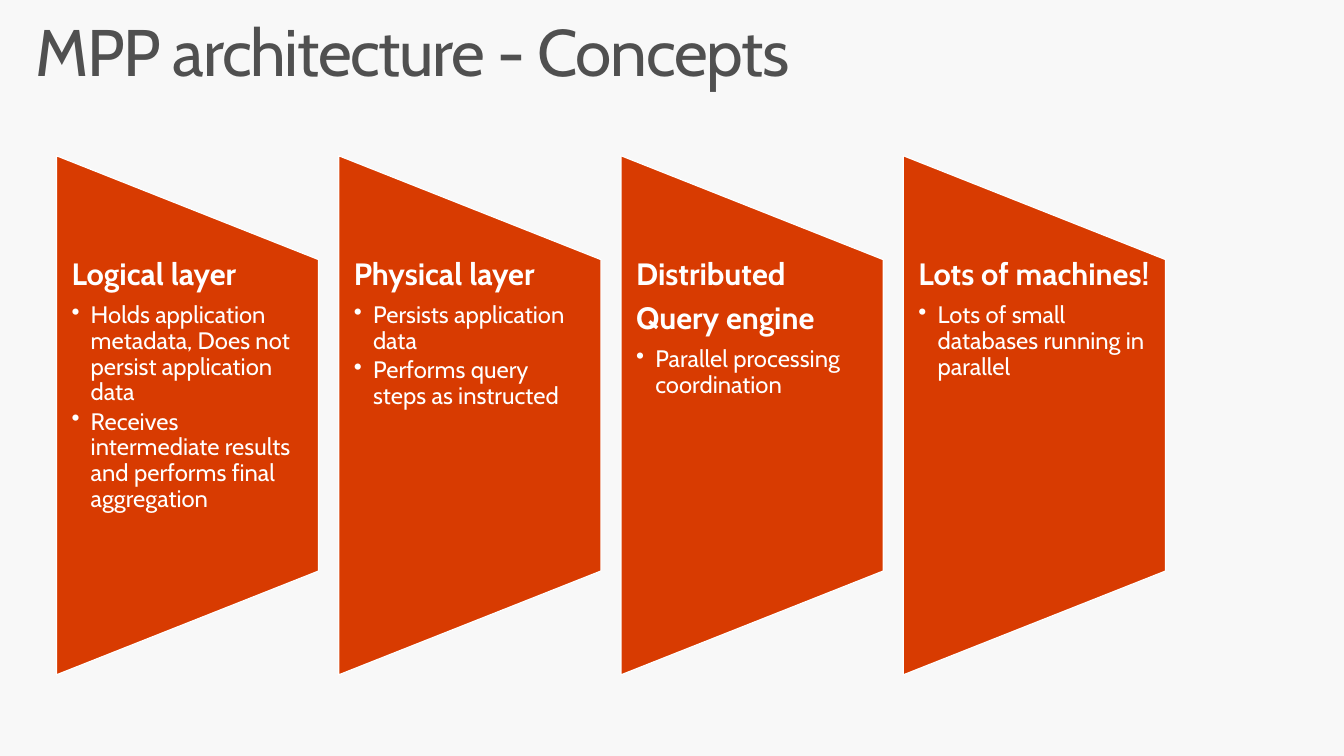
from lxml import etree
from pptx import Presentation
from pptx.dml.color import RGBColor
from pptx.enum.shapes import MSO_SHAPE
from pptx.enum.text import MSO_ANCHOR, MSO_AUTO_SIZE, PP_ALIGN
from pptx.oxml.ns import qn
from pptx.util import Inches, Pt

PANEL = MSO_SHAPE.FLOWCHART_MANUAL_OPERATION
TOP = MSO_ANCHOR.TOP
FIXED = MSO_AUTO_SIZE.NONE
LEFT = PP_ALIGN.LEFT

FONT = "Cabin"
TITLE_ONLY = 5
COLUMN_LEFT, COLUMN_STEP, COLUMN_WIDTH = 0.56, 2.8, 2.6
PANEL_LENGTH, PANEL_TOP = 5.15, 2.82
TEXT_TOP, TEXT_HEIGHT = 2.57, 3.09
BULLET_INDENT = 0.19

TITLE = {"size": Pt(47), "name": FONT, "bold": False}
HEADING = {"size": Pt(22), "name": FONT, "bold": True}
BULLET = {"size": Pt(17), "name": FONT, "bold": False}

COLUMNS = [
    (["Logical layer"],
     ["Holds application metadata, Does not persist application data",
      "Receives intermediate results and performs final aggregation"]),
    (["Physical layer"],
     ["Persists application data", "Performs query steps as instructed"]),
    (["Distributed", "Query engine"], ["Parallel processing coordination"]),
    (["Lots of machines!"], ["Lots of small databases running in parallel"]),
]


def color(hex_text):
    """Return the colour for a hex string."""
    return RGBColor.from_string(hex_text)


def apply_format(target, values):
    """Set each named attribute on the target."""
    for name, value in values.items():
        setattr(target, name, value)


def set_frame(frame, left, top, right, bottom):
    """Give a text frame its insets, wrapping and top anchor."""
    apply_format(frame, {
        "margin_left": Inches(left), "margin_top": Inches(top),
        "margin_right": Inches(right), "margin_bottom": Inches(bottom),
        "word_wrap": True, "auto_size": FIXED, "vertical_anchor": TOP,
    })


def write_para(para, text, font, hex_text, space_after=0):
    """Write one left-aligned paragraph and return its span."""
    apply_format(para, {"alignment": LEFT, "line_spacing": 0.9,
                        "space_before": Pt(0), "space_after": Pt(space_after)})
    span = para.add_run()
    span.text = text
    apply_format(span.font, font)
    span.font.color.rgb = color(hex_text)
    return span


def add_bullet(para):
    """Turn a paragraph into a hanging bullet."""
    para.level = 1
    properties = para._p.get_or_add_pPr()
    properties.set("marL", str(Inches(BULLET_INDENT)))
    properties.set("indent", str(-Inches(BULLET_INDENT)))
    etree.SubElement(properties, qn("a:buChar")).set("char", "•")


def add_title(page, text):
    """Place and format the title placeholder."""
    box = page.shapes.title
    apply_format(box, {"left": Inches(0.19), "top": Inches(0.09),
                       "width": Inches(12.75), "height": Inches(0.98)})
    set_frame(box.text_frame, 0.16, 0.1, 0.16, 0.1)
    span = write_para(box.text_frame.paragraphs[0], text, TITLE, "505050")
    span.font._element.set("spc", "-100")


def add_panel(page, left):
    """Add a tapered panel turned on its side."""
    center = left + COLUMN_WIDTH / 2
    panel = page.shapes.add_shape(
        PANEL, Inches(center - PANEL_LENGTH / 2), Inches(PANEL_TOP),
        Inches(PANEL_LENGTH), Inches(COLUMN_WIDTH))
    panel.rotation = 270
    panel.shadow.inherit = False
    panel.fill.solid()
    panel.fill.fore_color.rgb = color("D83B01")
    panel.line.color.rgb = color("FFFFFF")
    panel.line.width = Pt(0.85)


def add_column_text(page, left, headings, bullets):
    """Add a column's headings and bullets over its panel."""
    box = page.shapes.add_textbox(Inches(left), Inches(TEXT_TOP),
                                  Inches(COLUMN_WIDTH), Inches(TEXT_HEIGHT))
    frame = box.text_frame
    set_frame(frame, 0.15, 0, 0.15, 0)
    for index, heading in enumerate(headings):
        para = frame.add_paragraph() if index else frame.paragraphs[0]
        write_para(para, heading, HEADING, "FFFFFF", 7.7)
    for bullet in bullets:
        para = frame.add_paragraph()
        add_bullet(para)
        write_para(para, bullet, BULLET, "FFFFFF", 2.5)


def main():
    """Build and save the slide."""
    deck = Presentation()
    deck.slide_width, deck.slide_height = Inches(13.33), Inches(7.5)
    page = deck.slides.add_slide(deck.slide_layouts[TITLE_ONLY])
    page.background.fill.solid()
    page.background.fill.fore_color.rgb = color("F8F8F8")
    add_title(page, "MPP architecture - Concepts")
    for index, (headings, bullets) in enumerate(COLUMNS):
        left = COLUMN_LEFT + index * COLUMN_STEP
        add_panel(page, left)
        add_column_text(page, left, headings, bullets)
    deck.save("out.pptx")


if __name__ == "__main__":
    main()
